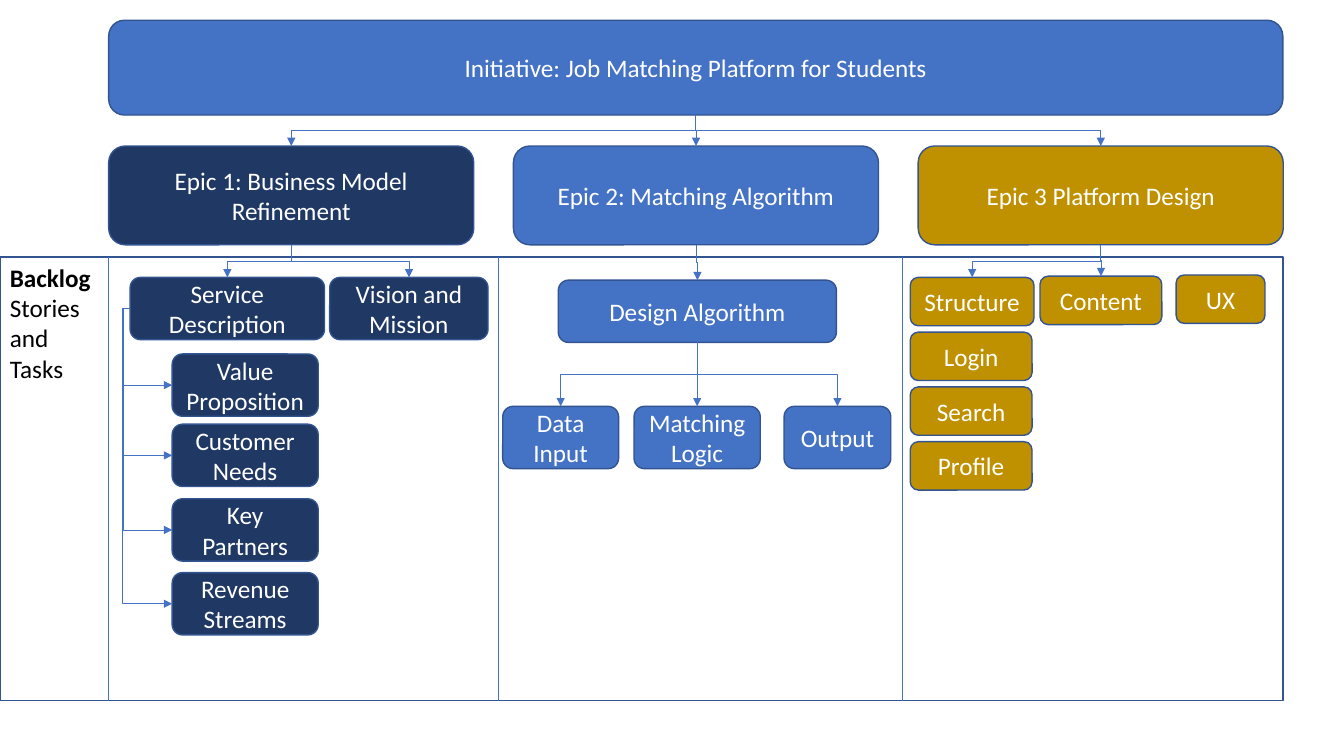
from dataclasses import dataclass

from lxml import etree
from pptx import Presentation
from pptx.dml.color import RGBColor
from pptx.enum.shapes import MSO_CONNECTOR as Link, MSO_SHAPE as Preset
from pptx.enum.text import MSO_ANCHOR as Anchor, PP_ALIGN as Align
from pptx.oxml.ns import qn
from pptx.shapes.autoshape import Shape
from pptx.shapes.connector import Connector
from pptx.util import Cm, Pt

COLORS = {
    "blue": "4472C4",
    "navy": "203864",
    "gold": "BF9000",
    "outline": "325491",
    "white": "FFFFFF",
    "black": "000000",
}
FONT = "Calibri"
TOP, LEFT, BOTTOM = 0, 1, 2  # connection sites of a rounded rectangle


@dataclass
class Card:
    """A labelled box; lengths are in centimetres."""

    label: str
    color: str
    left: float
    top: float
    width: float
    height: float


INITIATIVE = "Initiative: Job Matching Platform for Students"
EPICS = {
    "Epic 1: Business Model\nRefinement": "navy",
    "Epic 2: Matching Algorithm": "blue",
    "Epic 3 Platform Design": "gold",
}
MODEL, ALGORITHM, DESIGN = EPICS
STORY_TASKS = {
    "Value Proposition": 8.92,
    "Customer Needs": 10.69,
    "Key Partners": 12.57,
    "Revenue Streams": 14.43,
}
EDGE, RIGHT = 2.74, 32.33
BACKLOG_TOP, BACKLOG_HEIGHT = 6.48, 11.18
STORY_TOP, STORY_HEIGHT = 6.99, 1.57
PAGE_HEIGHT, PAGE_STEP = 1.22, 1.38

CARDS = [
    Card(INITIATIVE, "blue", EDGE, 0.51, RIGHT - EDGE, 2.39),
    *(Card(label, color, EDGE + 10.2 * i, 3.68, 9.2, 2.49)
      for i, (label, color) in enumerate(EPICS.items())),
    Card("Service Description", "navy", 3.28, STORY_TOP, 4.9, STORY_HEIGHT),
    Card("Vision and Mission", "navy", 8.31, STORY_TOP, 3.99, STORY_HEIGHT),
    *(Card(label, "navy", 4.34, top, 3.68, STORY_HEIGHT)
      for label, top in STORY_TASKS.items()),
    Card("Design Algorithm", "blue", 14.07, 7.06, 7.01, STORY_HEIGHT),
    Card("Data Input", "blue", 12.67, 10.24, 2.92, STORY_HEIGHT),
    Card("Matching Logic", "blue", 15.98, 10.24, 3.18, STORY_HEIGHT),
    Card("Output", "blue", 19.76, 10.24, 2.69, STORY_HEIGHT),
    Card("Structure", "gold", 22.94, STORY_TOP, 3.12, PAGE_HEIGHT),
    *(Card(label, "gold", 22.94, STORY_TOP + PAGE_STEP * i, 3.07, PAGE_HEIGHT)
      for i, label in enumerate(("Login", "Search", "Profile"), start=1)),
    Card("Content", "gold", 26.21, 6.96, 3.07, PAGE_HEIGHT),
    Card("UX", "gold", 29.64, 6.93, 2.24, PAGE_HEIGHT),
]
BRANCHES = {
    INITIATIVE: EPICS,
    MODEL: ("Service Description", "Vision and Mission"),
    ALGORITHM: ("Design Algorithm",),
    DESIGN: ("Structure", "Content"),
    "Design Algorithm": ("Data Input", "Matching Logic", "Output"),
}


def rgb(name: str) -> RGBColor:
    """Look up a colour by name."""
    return RGBColor.from_string(COLORS[name])


def write(box: Shape, text: str, color: str, align: Align) -> None:
    """Fill a box with text, one paragraph per line."""
    box.text_frame.word_wrap = True
    box.text_frame.text = text
    for para in box.text_frame.paragraphs:
        para.alignment = align
        para.font.name = FONT
        para.font.size = Pt(18)
        para.font.color.rgb = rgb(color)


def add_card(page, card: Card) -> Shape:
    """Draw a rounded box with a centred white label."""
    box = page.shapes.add_shape(
        Preset.ROUNDED_RECTANGLE,
        Cm(card.left), Cm(card.top), Cm(card.width), Cm(card.height))
    box.shadow.inherit = False
    box.fill.solid()
    box.fill.fore_color.rgb = rgb(card.color)
    box.line.color.rgb = rgb("outline")
    box.line.width = Pt(1)
    box.text_frame.vertical_anchor = Anchor.MIDDLE
    write(box, card.label, "white", Align.CENTER)
    return box


def add_backlog(page) -> None:
    """Draw the backlog frame with its heading and column dividers."""
    frame = page.shapes.add_shape(
        Preset.RECTANGLE, 0, Cm(BACKLOG_TOP), Cm(RIGHT), Cm(BACKLOG_HEIGHT))
    frame.shadow.inherit = False
    frame.fill.background()
    frame.line.color.rgb = rgb("outline")
    frame.line.width = Pt(1)
    frame.text_frame.vertical_anchor = Anchor.TOP
    write(frame, "Backlog\nStories\nand\nTasks", "black", Align.LEFT)
    frame.text_frame.paragraphs[0].font.bold = True
    for x in (EDGE, 12.55, 22.73):
        divider = page.shapes.add_connector(
            Link.STRAIGHT, Cm(x), Cm(BACKLOG_TOP),
            Cm(x), Cm(BACKLOG_TOP + BACKLOG_HEIGHT))
        style_line(divider)


def style_line(line: Connector) -> None:
    """Give a line its thin blue stroke and no shadow."""
    line.line.color.rgb = rgb("blue")
    line.line.width = Pt(0.5)
    etree.SubElement(line._element.spPr, qn("a:effectLst"))


def add_arrow(page, parent: Shape, child: Shape, start: int, end: int) -> Connector:
    """Join two boxes with a bent arrow glued to the given sites."""
    arrow = page.shapes.add_connector(Link.ELBOW, 0, 0, 0, 0)
    arrow.begin_connect(parent, start)
    arrow.end_connect(child, end)
    style_line(arrow)
    etree.SubElement(arrow.line._get_or_add_ln(), qn("a:tailEnd"), type="triangle")
    return arrow


def turn(arrow: Connector, degrees: int, **flips: str) -> None:
    """Set the rotation and the flips of an arrow."""
    frame = arrow._element.spPr.find(qn("a:xfrm"))
    for name in ("flipH", "flipV"):
        frame.attrib.pop(name, None)
    frame.set("rot", str(degrees * 60000))
    for name, value in flips.items():
        frame.set(name, value)


def branch_down(page, parent: Shape, child: Shape) -> None:
    """Lead from the bottom of a box to the top of another."""
    arrow = add_arrow(page, parent, child, BOTTOM, TOP)
    run, drop = arrow.end_x - arrow.begin_x, arrow.end_y - arrow.begin_y
    middle_x = (arrow.begin_x + arrow.end_x) // 2
    middle_y = (arrow.begin_y + arrow.end_y) // 2
    arrow.width, arrow.height = drop, abs(run)
    arrow.left, arrow.top = middle_x - drop // 2, middle_y - abs(run) // 2
    if run < 0:
        turn(arrow, 90)
    else:
        turn(arrow, 270, flipH="1")


def branch_aside(page, parent: Shape, child: Shape, bend: int) -> None:
    """Lead from the left of a box round to the left of another."""
    arrow = add_arrow(page, parent, child, LEFT, LEFT)
    turn(arrow, 180, flipH="1", flipV="1")
    geometry = arrow._element.spPr.find(qn("a:prstGeom"))
    guides = geometry.find(qn("a:avLst"))
    if guides is None:
        guides = etree.SubElement(geometry, qn("a:avLst"))
    etree.SubElement(guides, qn("a:gd"), name="adj1", fmla=f"val {bend}")


deck = Presentation()
deck.slide_width, deck.slide_height = Cm(33.87), Cm(19.05)
page = deck.slides.add_slide(deck.slide_layouts[6])

add_backlog(page)
boxes = {card.label: add_card(page, card) for card in CARDS}
for parent, children in BRANCHES.items():
    for child in children:
        branch_down(page, boxes[parent], boxes[child])
for task, bend in zip(STORY_TASKS, (-16700, -19100) * 2):
    branch_aside(page, boxes["Service Description"], boxes[task], bend)

deck.save("out.pptx")
